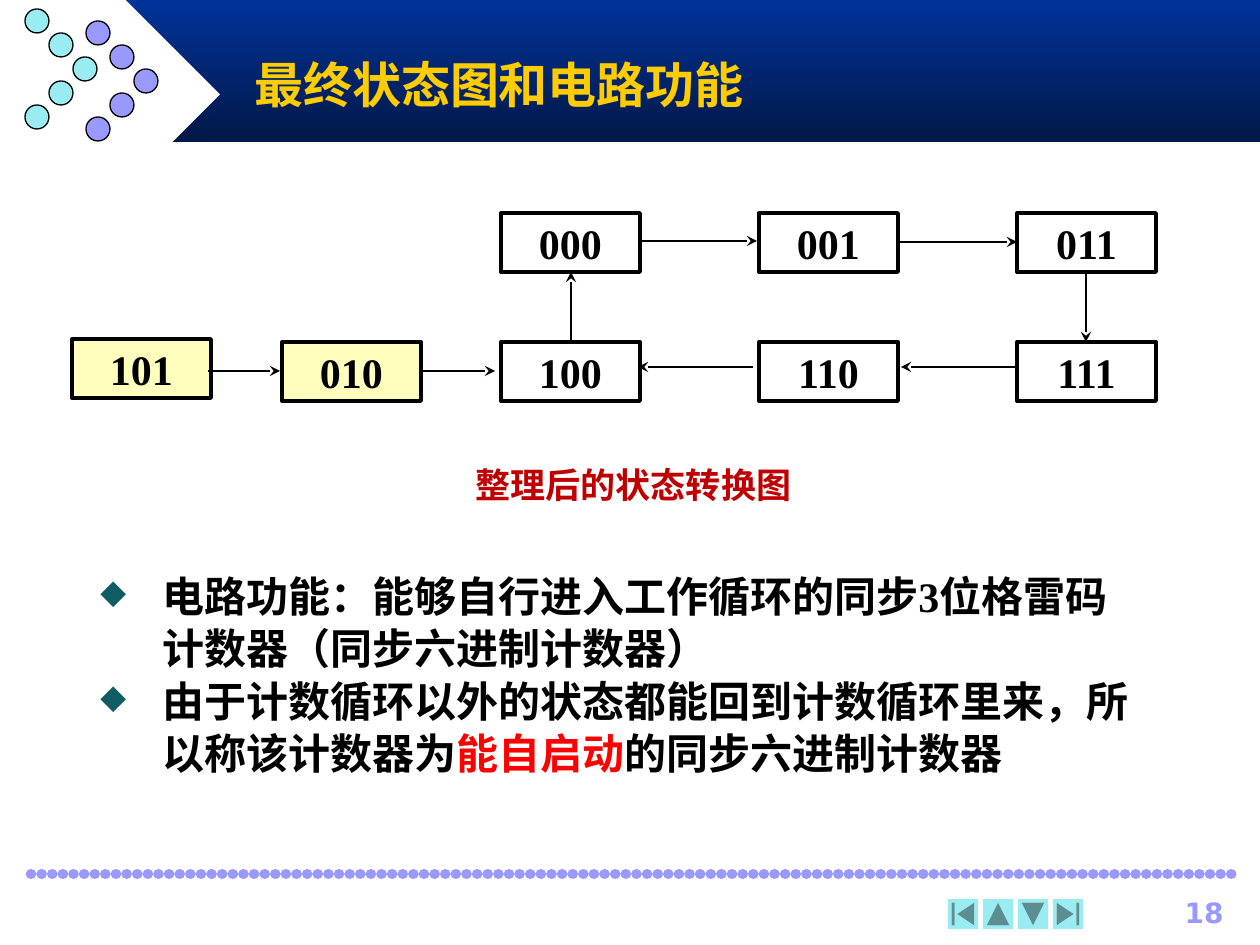
import lxml.etree
import pptx
import pptx.dml.color
import pptx.enum.shapes
import pptx.enum.text
import pptx.oxml.ns
import pptx.util

KIND = pptx.enum.shapes.MSO_SHAPE
ALIGN = pptx.enum.text.PP_ALIGN
MID = pptx.enum.text.MSO_ANCHOR.MIDDLE
SERIF = "Times New Roman"
BODY = [
    [("电路功能：能够自行进入工作循环的同步3位格雷码计数器（同步六进制计数器）", "000000")],
    [("由于计数循环以外的状态都能回到计数循环里来，所以称该计数器为", "000000"),
     ("能自启动", "FF0000"), ("的同步六进制计数器", "000000")],
]
NODES = [
    ("000", 429, 0, None), ("001", 687, 0, None), ("011", 945, 0, None),
    ("101", 0, 126, "FFFFBD"), ("010", 210, 129, "FFFFBD"),
    ("100", 429, 129, None), ("110", 687, 129, None), ("111", 945, 129, None),
]
EDGES = [
    (499, 129, 499, 59), (566, 28, 685, 28), (826, 29, 945, 29),
    (1014, 59, 1014, 129), (136, 158, 208, 158), (681, 154, 566, 154),
    (944, 154, 829, 154), (351, 158, 423, 158),
]


def px(num):
    return pptx.util.Emu(round(num * 914400 / 126))


def tint(code):
    return pptx.dml.color.RGBColor.from_string(code)


def put(item, look):
    for key, value in look.items():
        setattr(item, key, value)


def node(root, tag, **attrs):
    part = lxml.etree.SubElement(root, pptx.oxml.ns.qn(tag))
    for key, value in attrs.items():
        part.set(key, value)
    return part


def shape(slide, kind, box, fill=None, line=None, width=0.75):
    item = slide.shapes.add_shape(kind, *map(px, box))
    item.shadow.inherit = False
    if fill:
        item.fill.solid()
        item.fill.fore_color.rgb = tint(fill)
    else:
        item.fill.background()
    if line:
        item.line.color.rgb = tint(line)
        item.line.width = pptx.util.Pt(width)
    else:
        item.line.fill.background()
    return item


def stroke(slide, ends, code, width):
    item = slide.shapes.add_connector(
        pptx.enum.shapes.MSO_CONNECTOR.STRAIGHT, *map(px, ends))
    item.line.color.rgb = tint(code)
    item.line.width = pptx.util.Pt(width)
    node(item._element.spPr, "a:effectLst")
    return item.line._get_or_add_ln()


def write(para, text, size, code, name=SERIF):
    run = para.add_run()
    run.text = text
    put(run.font, {"size": pptx.util.Pt(size), "bold": True, "name": name})
    run.font.color.rgb = tint(code)


def label(slide, box, text, size, code, name=SERIF, align=ALIGN.LEFT, **look):
    frame = slide.shapes.add_textbox(*map(px, box)).text_frame
    put(frame, {"word_wrap": True, **look})
    frame.paragraphs[0].alignment = align
    write(frame.paragraphs[0], text, size, code, name)


def header(slide, box):
    x, y, w, h = box
    band = shape(slide, KIND.RECTANGLE, (x + 126, y, w - 126, h), "003399")
    band.fill.gradient()
    band.fill.gradient_angle = 270
    for stop, code in zip(band.fill.gradient_stops, ("003399", "001847")):
        stop.color.rgb = tint(code)
    shape(slide, KIND.DIAMOND, (x + 31, y, 189, 189), "FFFFFF")
    for left, top, code in ((86, 21, "9999FF"), (25, 9, "98ECF2")):
        for row in range(5):
            col = 2 - abs(row - 2)
            spot = (x + left + 24 * col, y + top + 24 * row, 24, 24)
            shape(slide, KIND.OVAL, spot, code, "000000")
    label(slide, (x + 242, y + 42, 945, 84), "最终状态图和电路功能", 28, "FFCC00",
          "Arial", vertical_anchor=MID)


def graph(slide, box):
    x, y, w, h = box
    for text, left, top, fill in NODES:
        item = shape(slide, KIND.RECTANGLE, (x + left, y + top, 139, 59),
                     fill, "000000", 2.25)
        put(item.text_frame, {"word_wrap": False, "vertical_anchor": MID})
        para = item.text_frame.paragraphs[0]
        para.alignment = ALIGN.CENTER
        write(para, text, 24, "000000")
    for a, b, c, d in EDGES:
        line = stroke(slide, (x + a, y + b, x + c, y + d), "000000", 1.5)
        node(line, "a:tailEnd", type="stealth")
    label(slide, (x + 355, y + 244, 413, 55), "整理后的状态转换图", 20, "C00000",
          align=ALIGN.CENTER)


def notes(slide, box):
    frame = slide.shapes.add_textbox(*map(px, box)).text_frame
    frame.word_wrap = True
    for spot, parts in enumerate(BODY):
        para = frame.add_paragraph() if spot else frame.paragraphs[0]
        props = para._p.get_or_add_pPr()
        props.set("marL", str(px(62)))
        props.set("indent", str(px(-62)))
        node(node(props, "a:buClr"), "a:srgbClr", val="0F5C62")
        node(props, "a:buSzPct", val="80000")
        node(props, "a:buChar", char="◆")
        para.line_spacing = pptx.util.Pt(30)
        for text, code in parts:
            write(para, text, 24, code)


def footer(slide, box):
    x, y, w, h = box
    line = stroke(slide, (x, y, x + w, y), "9999FF", 6)
    line.set("cap", "rnd")
    node(node(line, "a:custDash"), "a:ds", d="1000", sp="100000")
    node(line, "a:round")
    keys = ((KIND.ACTION_BUTTON_BEGINNING, 0),
            (KIND.ACTION_BUTTON_BACK_OR_PREVIOUS, 90),
            (KIND.ACTION_BUTTON_FORWARD_OR_NEXT, 90),
            (KIND.ACTION_BUTTON_END, 0))
    for spot, (kind, turn) in enumerate(keys):
        item = shape(slide, kind, (x + 917 + 35 * spot, y + 25, 30, 30), "98ECF2")
        item.rotation = turn
    label(slide, (x + 1085, y + 15, 120, 42), "18", 16, "9999FF",
          "DejaVu Sans", ALIGN.RIGHT)


def main():
    deck = pptx.Presentation()
    put(deck, {"slide_width": px(1260), "slide_height": px(945)})
    slide = deck.slides.add_slide(deck.slide_layouts[6])
    header(slide, (0, 0, 1260, 142))
    footer(slide, (31, 874, 1207, 57))
    notes(slide, (88, 562, 1067, 223))
    graph(slide, (72, 213, 1084, 299))
    deck.save("out.pptx")


if __name__ == "__main__":
    main()
